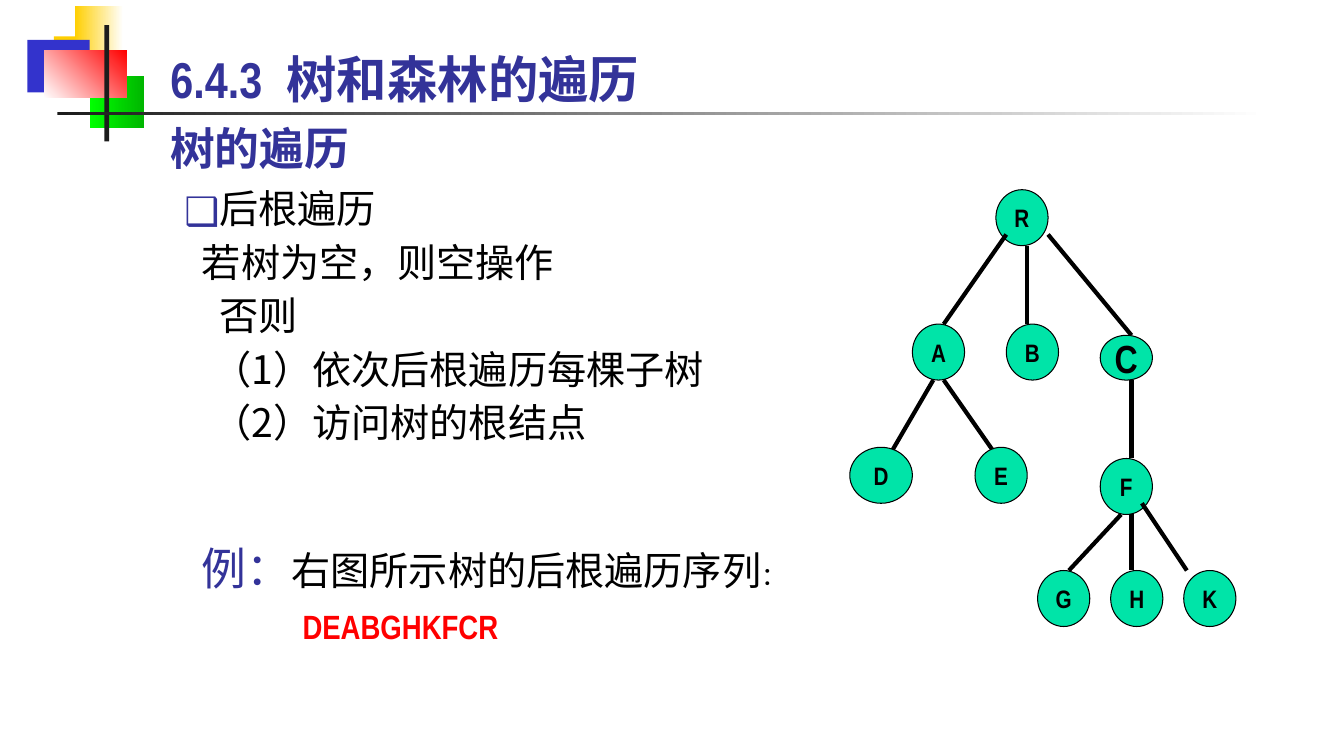
from lxml import etree
from pptx import Presentation
from pptx.dml.color import RGBColor
from pptx.enum import shapes, text
from pptx.oxml.ns import qn
from pptx.util import Pt

HUES = {"ink": "000000", "navy": "333399", "red": "FF0000", "mint": "00E4A8",
        "gold": "FFCF01", "blue": "3333CC", "lime": "00FF00", "leaf": "00B600",
        "coal": "1C1C1C", "white": "FFFFFF"}
LATIN, HAN = "Arial Narrow", "Noto Sans CJK SC"


def hue(name):
    return RGBColor.from_string(HUES[name])


def add_run(para, words, size, color="ink", bold=False, face=LATIN, gap=0):
    run = para.add_run()
    run.text = words
    font = run.font
    font.size, font.bold, font.name = Pt(size), bold, face
    font.color.rgb = hue(color)
    props = run._r.get_or_add_rPr()
    etree.SubElement(props, qn("a:ea")).set("typeface", HAN)
    if gap:
        props.set("spc", str(gap * 100))


def place(shape, box):
    shape.left, shape.top, shape.width, shape.height = map(Pt, box)


def set_frame(shape, box):
    """Place a text shape and return its frame, wrapped and top-anchored."""
    place(shape, box)
    frame = shape.text_frame
    frame.word_wrap = True
    frame.auto_size = text.MSO_AUTO_SIZE.NONE
    frame.vertical_anchor = text.MSO_ANCHOR.TOP
    return frame


def add_logo(slide, box):
    """Draw the corner blocks and the fading rule."""
    left, top = box
    parts = [(19, 22, 46, 37, ["gold"], 0), (34, 0, 34.5, 37, ["gold", "white"], 0),
             (0, 24.5, 44.5, 37.5, ["blue"], 0), (45, 50, 38.5, 37.5, ["lime", "leaf"], 0),
             (12, 32, 59, 33.5, ["white", "red"], 45), (55, 14, 3.5, 83, ["coal"], 0),
             (21.5, 76, 864, 2.5, ["coal", "white"], 0)]
    for x, y, wide, high, tones, angle in parts:
        block = slide.shapes.add_shape(shapes.MSO_SHAPE.RECTANGLE, 0, 0, 0, 0)
        place(block, (left + x, top + y, wide, high))
        block.shadow.inherit = False
        block.line.fill.background()
        if len(tones) == 1:
            block.fill.solid()
            block.fill.fore_color.rgb = hue(tones[0])
            continue
        block.fill.gradient()
        block.fill.gradient_angle = angle
        for stop, tone in zip(block.fill.gradient_stops, tones):
            stop.color.rgb = hue(tone)


def add_title(slide, box):
    para = set_frame(slide.shapes.title, box).paragraphs[0]
    para.alignment = text.PP_ALIGN.LEFT
    add_run(para, "6.4.3", 36, "navy", True)
    add_run(para, " ", 36, "navy", True, gap=9)
    add_run(para, "树和森林的遍历", 36, "navy", True)


def add_head(slide, box):
    frame = set_frame(slide.shapes.add_textbox(0, 0, 0, 0), box)
    add_run(frame.paragraphs[0], "树的遍历", 32, "navy", True)


def add_steps(slide, box):
    frame = set_frame(slide.placeholders[1], box)
    lines = [("后根遍历", 25), ("若树为空，则空操作", 12.5), ("否则", 25),
             ("（1）依次后根遍历每棵子树", 20), ("（2）访问树的根结点", 20)]
    for i, (words, inset) in enumerate(lines):
        para = frame.paragraphs[0] if i == 0 else frame.add_paragraph()
        props = para._p.get_or_add_pPr()
        props.set("marL", str(Pt(inset)))
        props.set("indent", str(Pt(0 if i else -inset)))
        para.line_spacing = 0.9
        para.space_before = Pt(8 if i else 0)
        if i:
            etree.SubElement(props, qn("a:buNone"))
        else:
            tint = etree.SubElement(props, qn("a:buClr"))
            etree.SubElement(tint, qn("a:srgbClr")).set("val", HUES["navy"])
            etree.SubElement(props, qn("a:buFont")).set("typeface", HAN)
            etree.SubElement(props, qn("a:buChar")).set("char", "❑")
        add_run(para, words, 28, face=HAN)


def add_sample(slide, box):
    frame = set_frame(slide.shapes.add_textbox(0, 0, 0, 0), box)
    ask = frame.paragraphs[0]
    add_run(ask, "例：", 32, "navy")
    add_run(ask, "右图所示树的后根遍历序列", 28)
    add_run(ask, "：", 18)
    reply = frame.add_paragraph()
    reply._p.get_or_add_pPr().set("marL", str(Pt(72)))
    reply.space_before = Pt(8)
    add_run(reply, "DEABGHKFCR", 24, "red", True)


def add_node(slide, name, box, size):
    node = slide.shapes.add_shape(shapes.MSO_SHAPE.OVAL, 0, 0, 0, 0)
    place(node, box)
    node.shadow.inherit = False
    node.fill.solid()
    node.fill.fore_color.rgb = hue("mint")
    node.line.color.rgb = hue("ink")
    node.line.width = Pt(0.75)
    frame = node.text_frame
    frame.word_wrap = False
    frame.vertical_anchor = text.MSO_ANCHOR.MIDDLE
    frame.paragraphs[0].alignment = text.PP_ALIGN.CENTER
    add_run(frame.paragraphs[0], name, size, bold=True)


def add_edge(slide, start, end):
    edge = slide.shapes.add_connector(shapes.MSO_CONNECTOR.STRAIGHT,
                                      *map(Pt, start + end))
    edge.line.color.rgb = hue("ink")
    edge.line.width = Pt(3)
    etree.SubElement(edge._element.spPr, qn("a:effectLst"))


def add_tree(slide, box):
    """Draw the tree on a grid of 36 by 39 cells."""
    left, top, wide, high = box

    def spot(col, row):
        return left + col * wide / 36.99, top + row * high / 39

    # name, column, row, columns wide, rows high, text size, edges to children
    nodes = [("R", 14, 0, 5, 5, 18, [(15, 4, 9, 12), (17, 5, 17, 12), (19, 4, 27, 13)]),
             ("A", 6, 12, 5, 5, 18, [(8, 17, 3, 25), (9, 17, 15, 25)]),
             ("B", 15, 12, 5, 5, 18, []),
             ("C", 24, 13, 5, 4, 28, [(27, 17, 27, 24)]),
             ("D", 0, 23, 6, 5, 18, []),
             ("E", 12, 23, 5, 5, 18, []),
             ("F", 24, 24, 5, 5, 18, [(26, 29, 21, 34), (27, 29, 27, 34), (28, 28, 32.3, 34)]),
             ("G", 18, 34, 5, 5, 18, []),
             ("H", 25, 34, 5, 5, 18, []),
             ("K", 32, 34, 5, 5, 18, [])]
    for name, col, row, cols, rows, size, edges in nodes:
        x, y = spot(col, row)
        right, low = spot(col + cols, row + rows)
        add_node(slide, name, (x, y, right - x, low - y), size)
        for a, b, c, d in edges:
            add_edge(slide, spot(a, b), spot(c, d))


def main():
    deck = Presentation()
    deck.slide_width, deck.slide_height = Pt(960), Pt(540)
    slide = deck.slides.add_slide(deck.slide_layouts[1])
    add_logo(slide, (19.5, 4))
    add_title(slide, (114.5, 31, 612, 52))
    add_head(slide, (114.5, 83, 210, 45))
    add_steps(slide, (124.5, 132, 414, 226))
    add_sample(slide, (137, 383, 444, 90))
    add_tree(slide, (607, 135.5, 275.7, 312))
    deck.save("out.pptx")


if __name__ == "__main__":
    main()
